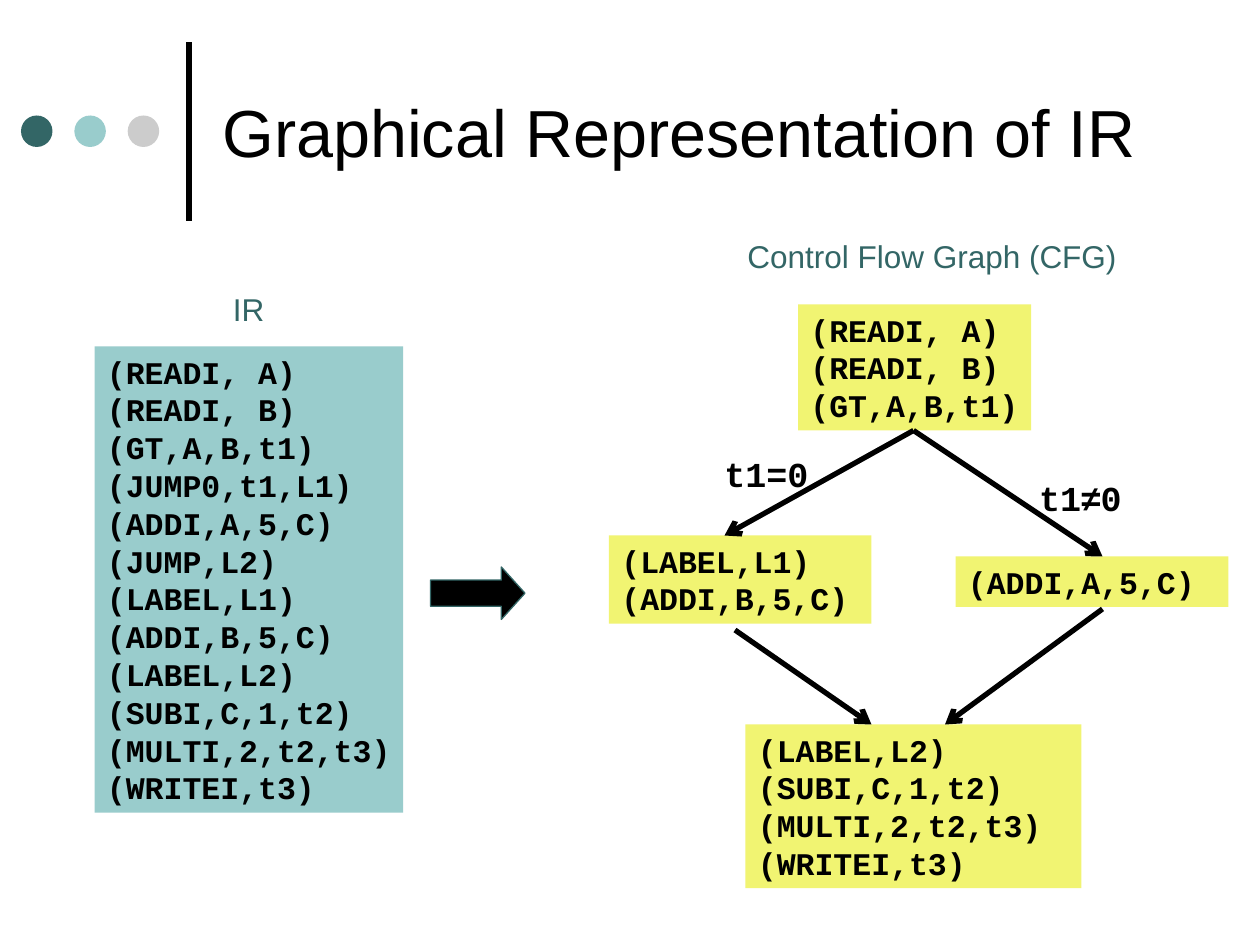
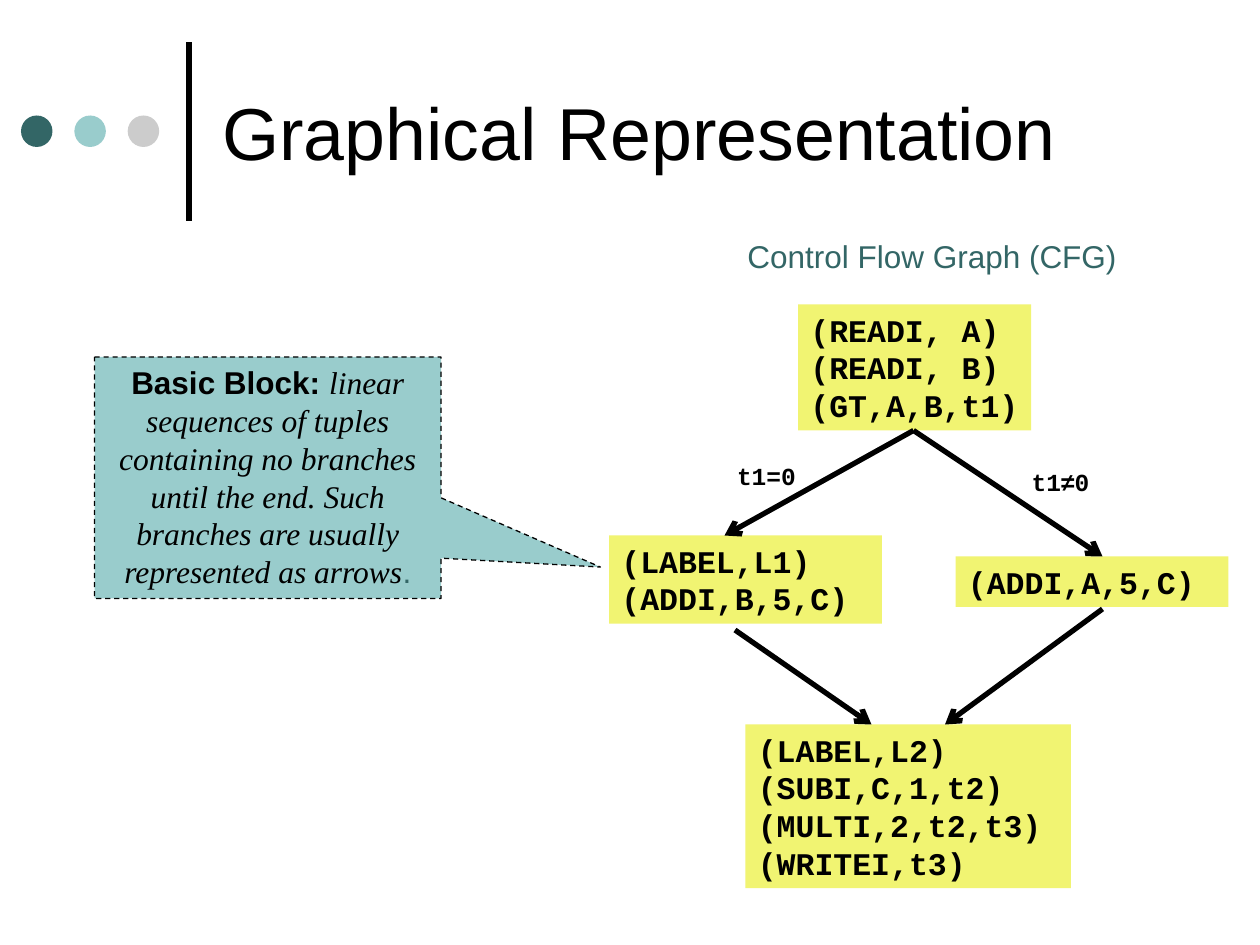
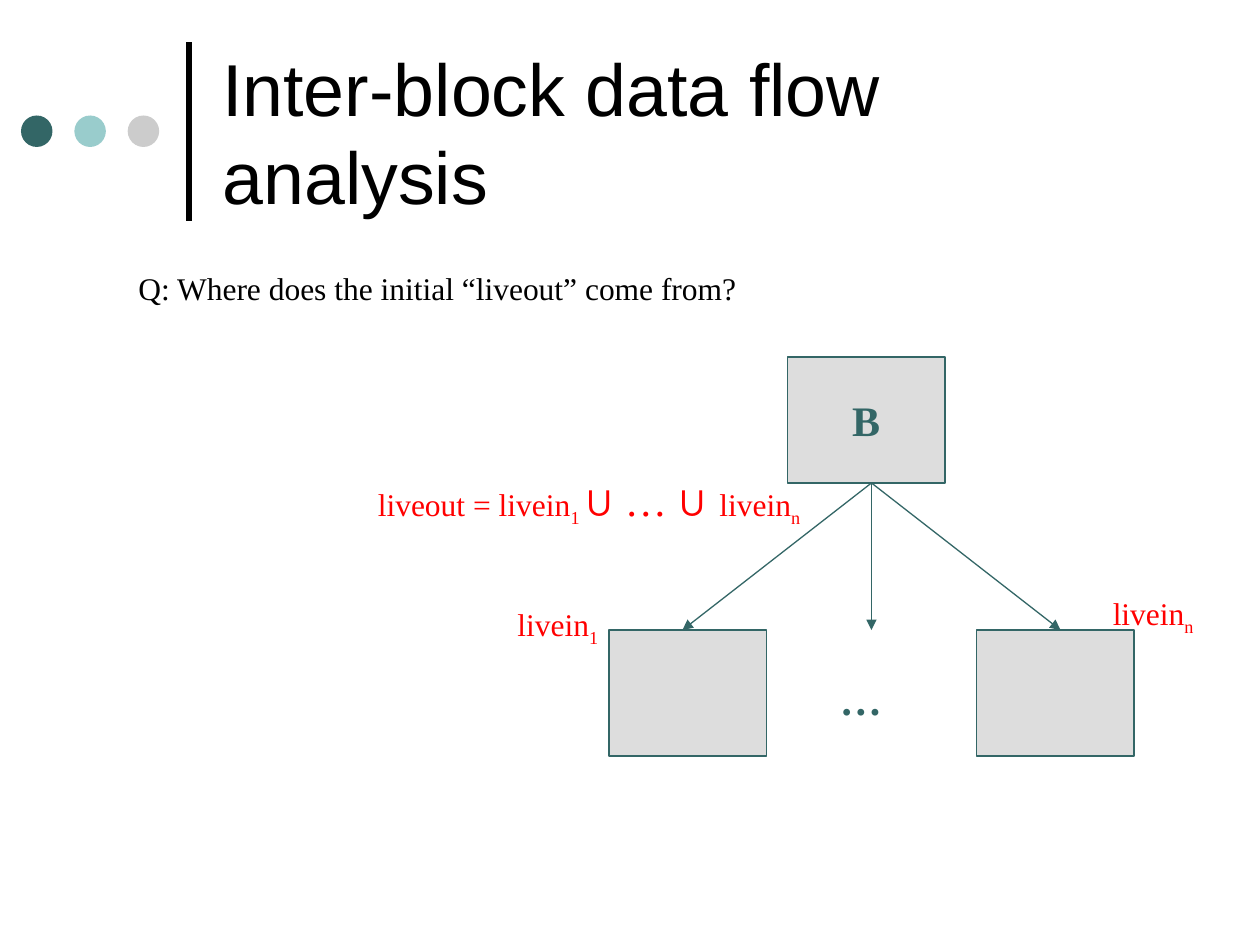
import dataclasses
import typing

import pptx
import pptx.dml.color
import pptx.enum.dml
import pptx.enum.shapes
import pptx.enum.text
import pptx.oxml
import pptx.oxml.ns
import pptx.util

COLORS = {
    "black": "000000",
    "teal": "336666",
    "aqua": "99CCCC",
    "silver": "CCCCCC",
    "gray": "DDDDDD",
    "yellow": "F1F472",
    "red": "FF0000",
}
SANS, MONO, SERIF = "Arial", "Courier New", "Times New Roman"
SHAPE = pptx.enum.shapes.MSO_SHAPE
ALIGN = pptx.enum.text.PP_ALIGN
ANCHOR = pptx.enum.text.MSO_ANCHOR
CELL = pptx.util.Inches(10) / 120
LINE_HEIGHT = 1.2

IR_CODE = (
    "(READI, A)", "(READI, B)", "(GT,A,B,t1)", "(JUMP0,t1,L1)",
    "(ADDI,A,5,C)", "(JUMP,L2)", "(LABEL,L1)", "(ADDI,B,5,C)",
    "(LABEL,L2)", "(SUBI,C,1,t2)", "(MULTI,2,t2,t3)", "(WRITEI,t3)",
)


@dataclasses.dataclass(frozen=True)
class Box:
    col: float
    row: float
    cols: float
    rows: float


@dataclasses.dataclass(frozen=True)
class Style:
    font: str
    size: float
    color: str = "black"
    bold: bool = False
    align: typing.Any = ALIGN.LEFT


@dataclasses.dataclass(frozen=True)
class Run:
    text: str
    font: typing.Optional[str] = None
    size: typing.Optional[float] = None
    color: typing.Optional[str] = None
    bold: typing.Optional[bool] = None
    italic: typing.Optional[bool] = None
    sub: bool = False


@dataclasses.dataclass(frozen=True)
class Arrow:
    start: tuple[float, float]
    end: tuple[float, float]


Line = tuple[Run, ...]
CODE = Style(MONO, 18, bold=True)
CAPTION = Style(SANS, 18, "teal")
NODE = Style(SERIF, 24, "teal", True, ALIGN.CENTER)
LIVE = Style(SERIF, 18, "red")

FLOW = (
    Arrow((105, 58), (90, 69)),
    Arrow((70, 60), (83, 69)),
    Arrow((87, 41), (105, 53)),
    Arrow((87, 41), (69, 51)),
)


def cells(*counts: float) -> list[int]:
    return [round(n * CELL) for n in counts]


def rgb(name: str) -> pptx.dml.color.RGBColor:
    return pptx.dml.color.RGBColor.from_string(COLORS[name])


def plain(*texts: str) -> list[Line]:
    return [(Run(text),) for text in texts]


def fill_text(sp, lines: list[Line], style: Style, wrap: bool = False,
              fit: bool = True, anchor=ANCHOR.TOP) -> None:
    tf = sp.text_frame
    tf.word_wrap = wrap
    tf.vertical_anchor = anchor
    if fit:
        tf.auto_size = pptx.enum.text.MSO_AUTO_SIZE.SHAPE_TO_FIT_TEXT
    for i, line in enumerate(lines):
        p = tf.add_paragraph() if i else tf.paragraphs[0]
        p.alignment = style.align
        tallest = max(run.size or style.size for run in line)
        p.line_spacing = pptx.util.Pt(tallest * LINE_HEIGHT)
        p.font.name = style.font
        p.font.size = pptx.util.Pt(style.size)
        p.font.bold = style.bold
        p.font.color.rgb = rgb(style.color)
        for run in line:
            add_run(p, run)


def add_run(p, run: Run) -> None:
    r = p.add_run()
    r.text = run.text
    if run.font:
        r.font.name = run.font
    if run.size:
        r.font.size = pptx.util.Pt(run.size)
    if run.color:
        r.font.color.rgb = rgb(run.color)
    if run.bold is not None:
        r.font.bold = run.bold
    if run.italic is not None:
        r.font.italic = run.italic
    if run.sub:
        r.font._element.set("baseline", "-25000")


def add_label(slide, box: Box, lines: list[Line], style: Style,
              **options) -> None:
    sp = slide.shapes.add_textbox(*cells(*dataclasses.astuple(box)))
    fill_text(sp, lines, style, **options)


def add_shape(slide, kind, box: Box, fill: str,
              line: typing.Optional[str] = None):
    sp = slide.shapes.add_shape(kind, *cells(*dataclasses.astuple(box)))
    sp.shadow.inherit = False
    sp.fill.solid()
    sp.fill.fore_color.rgb = rgb(fill)
    if line:
        sp.line.color.rgb = rgb(line)
        sp.line.width = pptx.util.Pt(0.75)
    else:
        sp.line.fill.background()
    return sp


def add_code(slide, box: Box, code: tuple[str, ...], fill: str = "yellow",
             wrap: bool = True) -> None:
    sp = add_shape(slide, SHAPE.RECTANGLE, box, fill)
    fill_text(sp, plain(*code), CODE, wrap=wrap)


def add_line(slide, arrow: Arrow, color: str = "black", width: float = 3,
             head: typing.Optional[str] = None) -> None:
    sp = slide.shapes.add_connector(
        pptx.enum.shapes.MSO_CONNECTOR.STRAIGHT,
        *cells(*arrow.start, *arrow.end))
    sp.line.color.rgb = rgb(color)
    sp.line.width = pptx.util.Pt(width)
    qn = pptx.oxml.ns.qn
    if head:
        ln = sp.line._get_or_add_ln()
        ln.append(ln.makeelement(qn("a:tailEnd"), {"type": head}))
    spPr = sp._element.spPr
    spPr.append(spPr.makeelement(qn("a:effectLst"), {}))


def new_slide(prs, title: str, size: float = 42):
    slide = prs.slides.add_slide(prs.slide_layouts[6])
    add_line(slide, Arrow((18, 21), (18, 4)))
    for i, color in enumerate(("teal", "aqua", "silver")):
        add_shape(slide, SHAPE.OVAL, Box(2 + 5.08 * i, 11, 3, 3), color)
    add_label(slide, Box(20, 2.5, 92, 20), plain(title), Style(SANS, size),
              wrap=True, fit=False, anchor=ANCHOR.MIDDLE)
    return slide


def add_flow_graph(slide, else_cols: float, join_cols: float,
                   zero: Box, nonzero: Box, label_size: float) -> None:
    add_label(slide, Box(70, 22, 39, 4.8),
              plain("Control Flow Graph (CFG)"), CAPTION, wrap=True)
    add_code(slide, Box(76, 29, 22.2, 12), IR_CODE[:3], wrap=False)
    add_code(slide, Box(91, 53, 26, 4.8), IR_CODE[4:5])
    add_code(slide, Box(71, 69, join_cols, 15.6), IR_CODE[8:])
    add_code(slide, Box(58, 51, else_cols, 8.4), IR_CODE[6:8])
    for arrow in FLOW:
        add_line(slide, arrow, head="arrow")
    style = Style(MONO, label_size, bold=True, align=ALIGN.CENTER)
    add_label(slide, zero, plain("t1=0"), style)
    add_label(slide, nonzero, [(Run("t1"), Run("≠", SANS), Run("0"))], style)


def build_ir_slide(prs) -> None:
    slide = new_slide(prs, "Graphical Representation of IR", 38)
    add_code(slide, Box(9, 33, 29.4, 44.4), IR_CODE, "aqua", wrap=False)
    add_label(slide, Box(21, 27, 5.4, 4.8), plain("IR"), CAPTION)
    arrow = add_shape(slide, SHAPE.RIGHT_ARROW, Box(41, 54, 9, 5),
                      "black", "teal")
    arrow.adjustments[1] = 0.45
    add_flow_graph(slide, 25, 32, Box(67.8, 42.5, 10.4, 5.3),
                   Box(97.4, 44.8, 11, 5.3), 20)


def build_block_slide(prs) -> None:
    slide = new_slide(prs, "Graphical Representation")
    add_flow_graph(slide, 26, 31, Box(69, 43.3, 8, 4.1),
                   Box(96.8, 43.9, 8.4, 4.1), 14)
    callout = add_shape(slide, SHAPE.RECTANGULAR_CALLOUT,
                        Box(9, 34, 33, 23), "aqua", "black")
    callout.adjustments[0] = 0.96
    callout.adjustments[1] = 0.37
    callout.line.dash_style = pptx.enum.dml.MSO_LINE.DASH
    definition = (
        Run("Basic Block: ", bold=True),
        Run("linear sequences of tuples containing no branches until the "
            "end. Such branches are usually represented as arrows",
            SERIF, italic=True),
        Run(".", color="teal"),
    )
    fill_text(callout, [definition], Style(SANS, 18, align=ALIGN.CENTER),
              wrap=True, fit=False)


def build_liveness_slide(prs) -> None:
    slide = new_slide(prs, "Inter-block data flow analysis")
    add_label(slide, Box(12, 25, 61, 4.8),
              plain("Q: Where does the initial “liveout” come from?"),
              Style(SERIF, 18), wrap=True)
    for col, row, name in ((75, 34, "B"), (58, 60, ""), (93, 60, "")):
        node = add_shape(slide, SHAPE.RECTANGLE, Box(col, row, 15, 12),
                         "gray", "teal")
        if name:
            fill_text(node, plain(name), NODE, fit=False,
                      anchor=ANCHOR.MIDDLE)
    for shift in (-18, 0, 18):
        add_line(slide, Arrow((83, 46), (83 + shift, 60)), "teal", 0.75,
                 "triangle")
    add_label(slide, Box(78.8, 63.6, 6.4, 6), plain("…"), NODE)
    for box, index in ((Box(48.1, 57.5, 10.1, 5.3), "1"),
                       (Box(104.8, 56.5, 10.1, 5.3), "n")):
        add_label(slide, box, [(Run("livein"), Run(index, sub=True))], LIVE)
    union = (
        Run("liveout = livein"),
        Run("1 ", sub=True),
        Run("∪", SANS, 24),
        Run(" … ", size=24),
        Run("∪ ", SANS, 24),
        Run("livein"),
        Run("n", sub=True),
    )
    add_label(slide, Box(34.8, 44.9, 43.1, 10.4), [union], LIVE)


def main() -> None:
    prs = pptx.Presentation()
    prs.slide_width, prs.slide_height = cells(120, 90)
    build_ir_slide(prs)
    build_block_slide(prs)
    build_liveness_slide(prs)
    prs.save("out.pptx")


if __name__ == "__main__":
    main()
